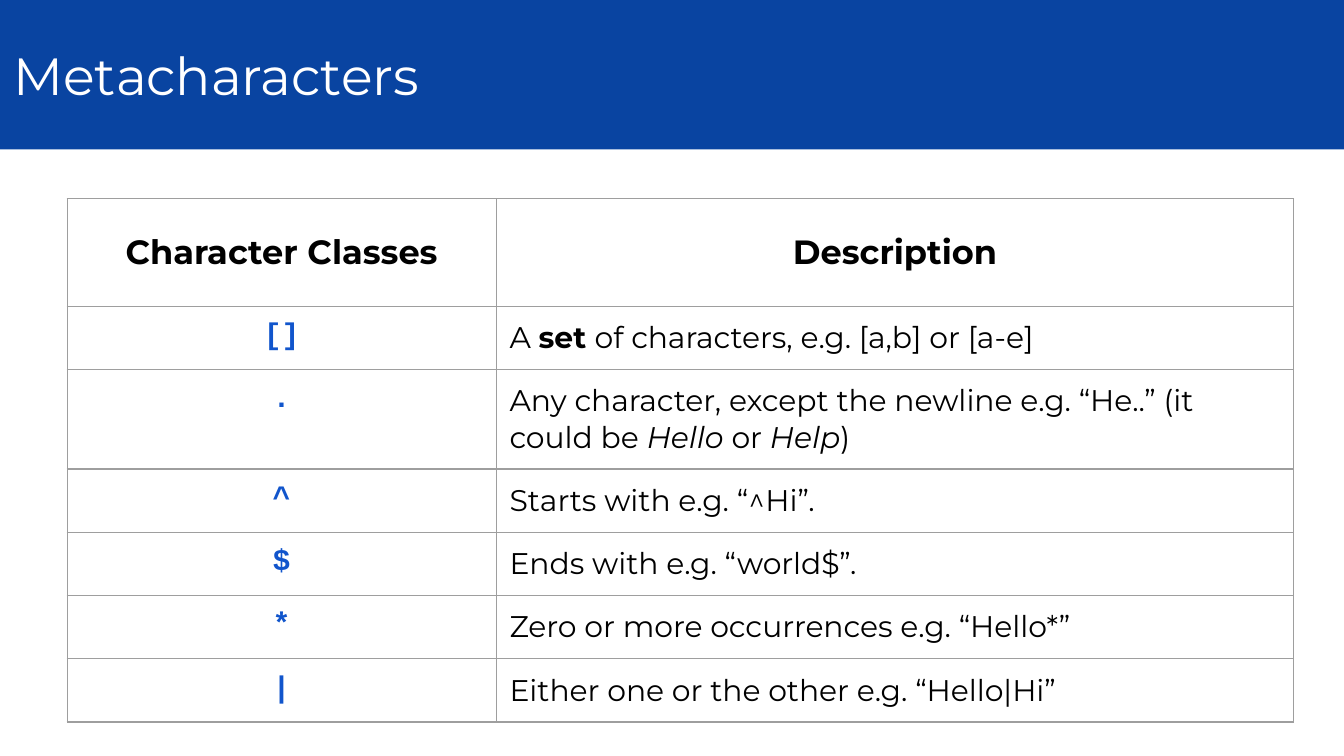
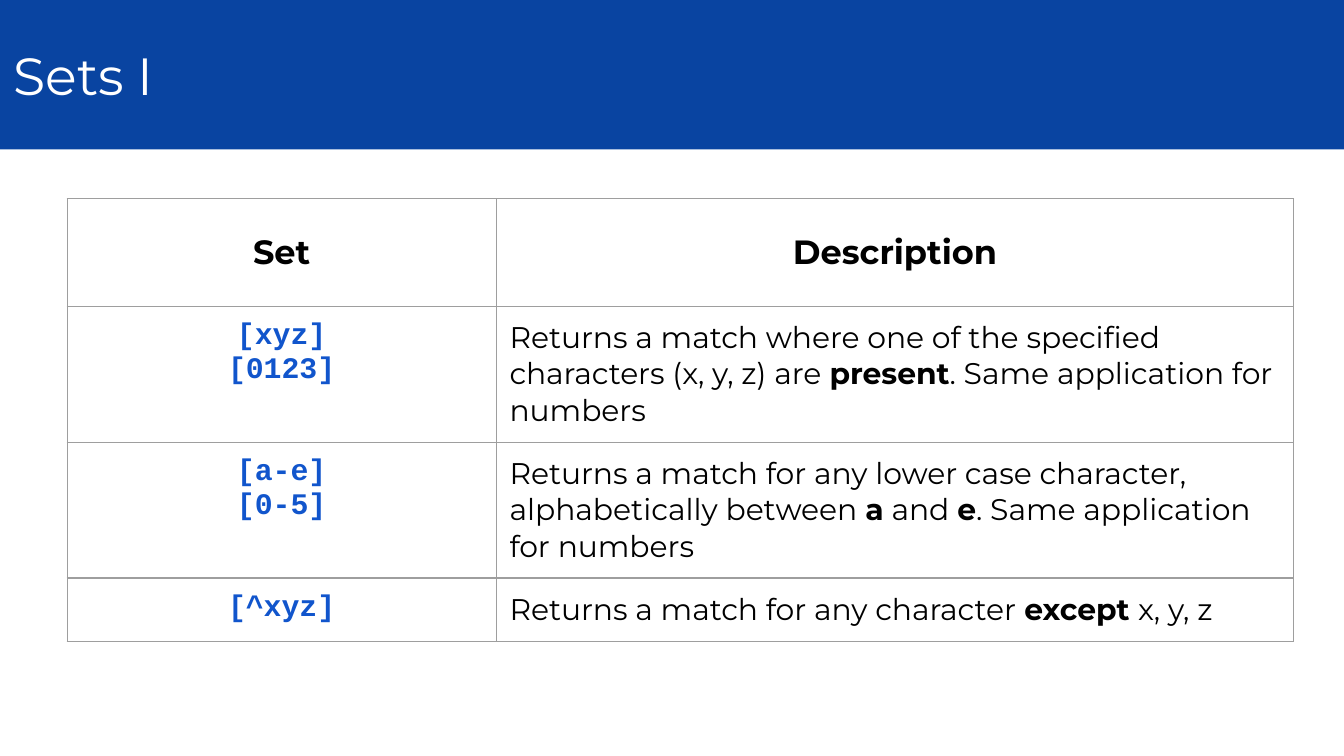
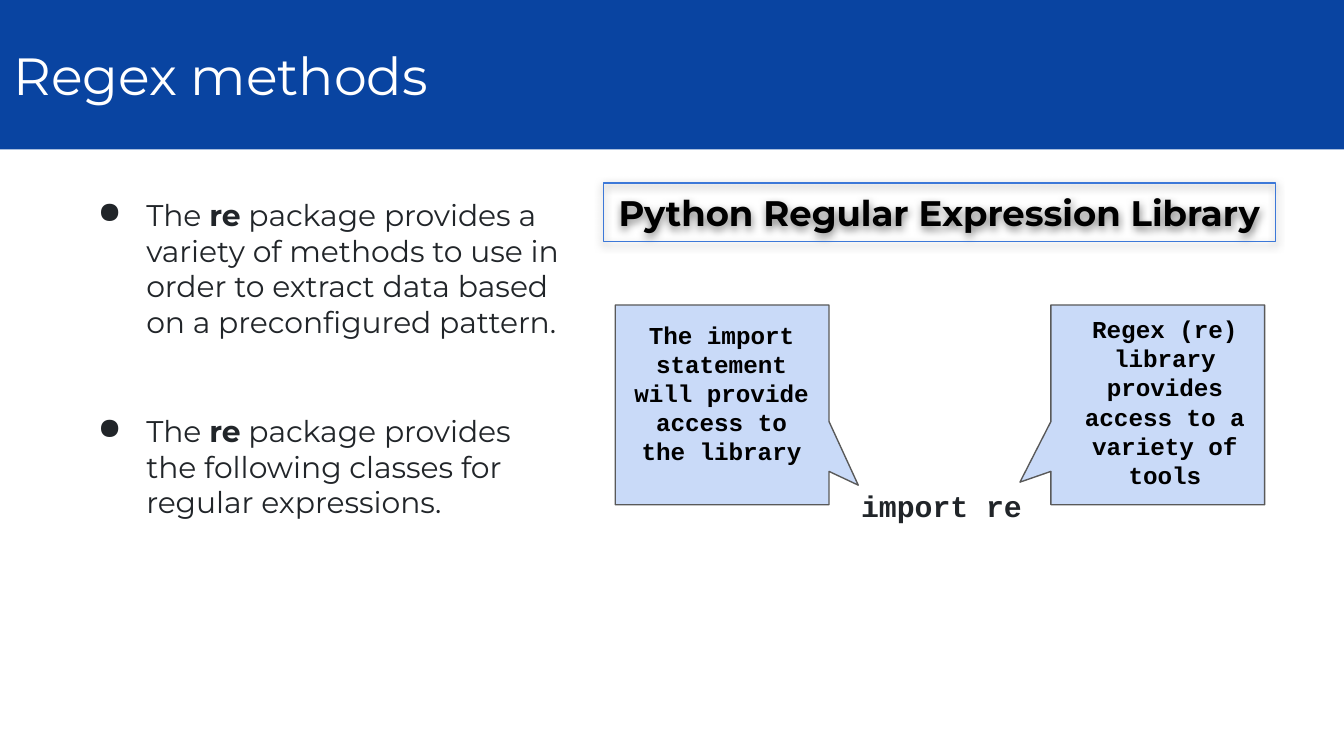
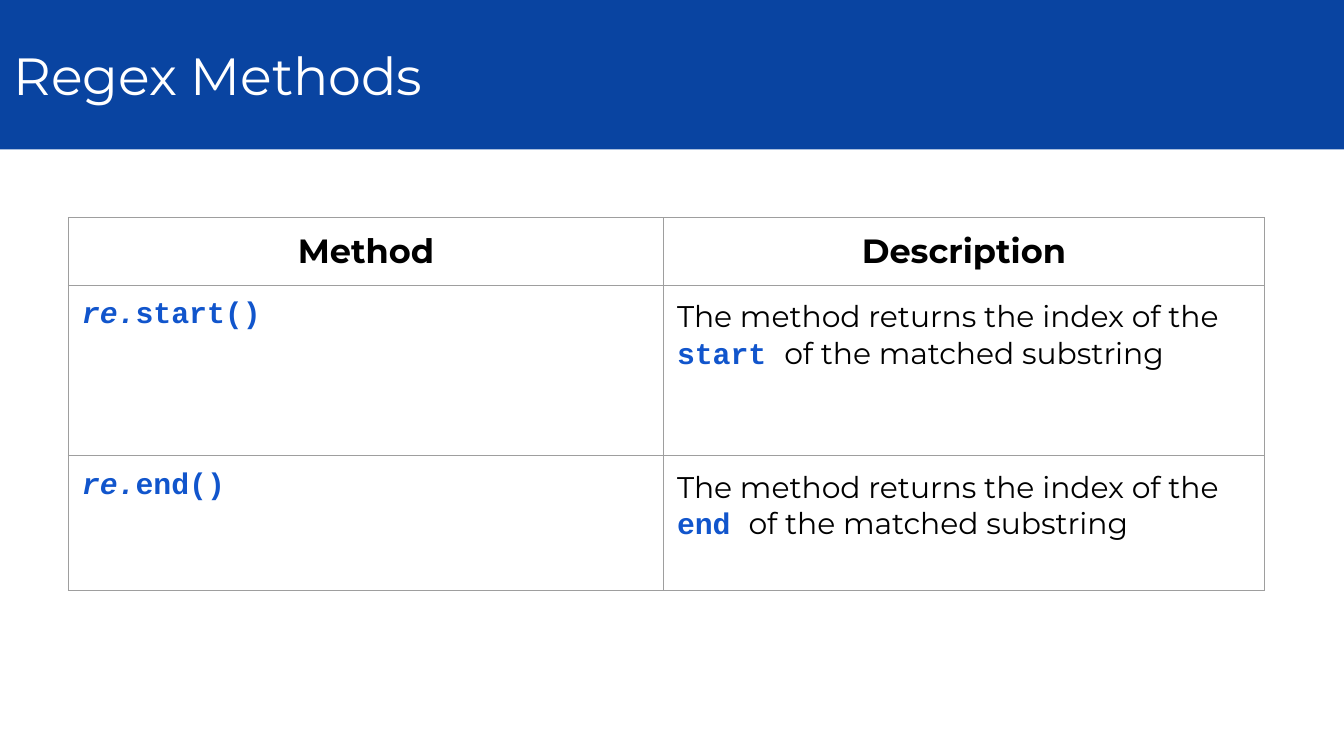
from dataclasses import dataclass

from lxml.etree import SubElement
from pptx import Presentation
from pptx.dml.color import RGBColor
from pptx.enum.shapes import MSO_SHAPE
from pptx.enum.text import MSO_ANCHOR, MSO_AUTO_SIZE, PP_ALIGN
from pptx.oxml.ns import qn
from pptx.util import Pt


@dataclass(frozen=True)
class Theme:
    band: str = "0944A1"
    white: str = "FFFFFF"
    black: str = "000000"
    ink: str = "212529"
    code: str = "1155CC"
    grid: str = "9E9E9E"
    bubble: str = "C9DAF8"
    edge: str = "595959"
    frame: str = "3C78D8"
    sans: str = "Montserrat"
    mono: str = "Courier New"
    title: int = 28
    banner: int = 19
    head: int = 18
    body: int = 16
    note: int = 13
    pad: float = 7.2
    line: float = 0.75


T = Theme()
WIDE, HIGH, BAND = 720, 405, 80
BOLD, ITALIC, CODE = "bold", "italic", "code"

# A rich text is a list of plain strings and (string, style) pairs.
META = [
    ("[]", ["A ", ("set ", BOLD), "of characters, e.g. [a,b] or [a-e]"]),
    (".", ["Any character, except the newline e.g. “He..” (it could be ",
           ("Hello ", ITALIC), "or ", ("Help", ITALIC), ")"]),
    ("^", ["Starts with e.g. “^Hi”."]),
    ("$", ["Ends with e.g. “world$”."]),
    ("*", ["Zero or more occurrences e.g. “Hello*”"]),
    ("|", ["Either one or the other e.g. “Hello|Hi”"]),
]
SETS = [
    ("[xyz]\n[0123]",
     ["Returns a match where one of the specified characters (x, y, z) are ",
      ("present", BOLD), ". Same application for numbers"]),
    ("[a-e]\n[0-5]",
     ["Returns a match for any lower case character, alphabetically between ",
      ("a", BOLD), " and ", ("e", BOLD), ". Same application for numbers"]),
    ("[^xyz]",
     ["Returns a match for any character ", ("except ", BOLD), "x, y, z"]),
]
CALLS = [
    ([("re.", ITALIC), f"{name}()"],
     ["The method returns the index of the ", (f"{name} ", CODE),
      "of the matched substring"])
    for name in ("start", "end")
]
TABLES = {
    "meta": dict(heads=("Character Classes", "Description"), body=META,
                 at=(36, 106.5), cols=(229.8, 427.4),
                 rows=(57.6, 33.8, 36.7, 33.8, 33.8, 33.8, 33.8)),
    "sets": dict(heads=("Set", "Description"), body=SETS,
                 at=(36, 106.5), cols=(229.8, 427.4),
                 rows=(57.6, 33.8, 36.7, 33.8)),
    "calls": dict(heads=("Method", "Description"), body=CALLS,
                  at=(36.7, 116.6), cols=(318.8, 321.8),
                  rows=(36, 91.2, 72), align=PP_ALIGN.LEFT),
}
POINTS = [
    ["The ", ("re", BOLD), " package provides a variety of methods to use in "
     "order to extract data based on a preconfigured pattern."],
    ["The ", ("re", BOLD),
     " package provides the following classes for regular expressions."],
]
# Left edge of the bubble, tail tip, box of the words, words
NOTES = [
    (563, (-0.645, 0.387), (564, 161.2, 120, 109.4),
     "Regex (re) library provides access to a variety of tools"),
    (329.6, (0.637, 0.402), (331, 164.3, 111, 93.6),
     "The import statement will provide access to the library"),
]


def rgb(tone):
    return RGBColor.from_string(tone)


def style(font, size=None, name=None, tone=None, bold=None):
    if size:
        font.size = Pt(size)
    if name:
        font.name = name
    if tone:
        font.color.rgb = rgb(tone)
    if bold is not None:
        font.bold = bold


def write(para, rich, size, name=T.sans, tone=T.black, bold=False,
          align=PP_ALIGN.LEFT):
    """Fill a paragraph with rich text over one base font."""
    para.alignment = align
    style(para.font, size, name, tone, bold)
    for part in [rich] if isinstance(rich, str) else rich:
        words, kind = (part, None) if isinstance(part, str) else part
        run = para.add_run()
        run.text = words
        if kind == BOLD:
            run.font.bold = True
        elif kind == ITALIC:
            run.font.italic = True
        elif kind == CODE:
            style(run.font, name=T.mono, tone=T.code, bold=True)


def inset(frame, anchor=MSO_ANCHOR.TOP):
    """Set even margins, wrapping and the vertical anchor."""
    frame.word_wrap = True
    frame.auto_size = MSO_AUTO_SIZE.NONE
    frame.vertical_anchor = anchor
    frame.margin_left = frame.margin_right = Pt(T.pad)
    frame.margin_top = frame.margin_bottom = Pt(T.pad)


def place(shape, left, top, width, height):
    shape.left, shape.top = Pt(left), Pt(top)
    shape.width, shape.height = Pt(width), Pt(height)


def text_box(slide, box, anchor=MSO_ANCHOR.TOP):
    frame = slide.shapes.add_textbox(*map(Pt, box)).text_frame
    inset(frame, anchor)
    return frame


def new_slide(deck, words):
    slide = deck.slides.add_slide(deck.slide_layouts[5])
    title = slide.shapes.title
    place(title, 0, 0, WIDE, BAND)
    title.fill.solid()
    title.fill.fore_color.rgb = rgb(T.band)
    inset(title.text_frame, MSO_ANCHOR.MIDDLE)
    write(title.text_frame.paragraphs[0], words, T.title, tone=T.white)
    return slide


def paint(parent, tone):
    fill = SubElement(parent, qn("a:solidFill"))
    return SubElement(fill, qn("a:srgbClr"), val=tone)


def dress(cell, anchor):
    """Give a cell its margins, grid lines and empty fill."""
    cell.margin_left = cell.margin_right = Pt(T.pad)
    cell.margin_top = cell.margin_bottom = Pt(T.pad)
    cell.vertical_anchor = anchor
    props = cell._tc.get_or_add_tcPr()
    for side in ("lnL", "lnR", "lnT", "lnB"):
        paint(SubElement(props, qn(f"a:{side}"), w=str(Pt(T.line))), T.grid)
    cell.fill.background()


def add_grid(slide, heads, body, at, cols, rows, align=PP_ALIGN.CENTER):
    table = slide.shapes.add_table(
        len(rows), len(cols), *map(Pt, (*at, sum(cols), sum(rows)))).table
    table.first_row = table.horz_banding = False
    for col, width in zip(table.columns, cols):
        col.width = Pt(width)
    for row, height in zip(table.rows, rows):
        row.height = Pt(height)
    for cell, words in zip(table.rows[0].cells, heads):
        dress(cell, MSO_ANCHOR.MIDDLE)
        write(cell.text_frame.paragraphs[0], words, T.head, bold=True,
              align=PP_ALIGN.CENTER)
    for row, (term, rich) in zip(list(table.rows)[1:], body):
        left, right = row.cells
        dress(left, MSO_ANCHOR.TOP)
        dress(right, MSO_ANCHOR.TOP)
        lines = term.split("\n") if isinstance(term, str) else [term]
        for i, line in enumerate(lines):
            frame = left.text_frame
            para = frame.add_paragraph() if i else frame.paragraphs[0]
            write(para, line, T.body, T.mono, T.code, True, align)
        write(right.text_frame.paragraphs[0], rich, T.body)


def add_points(slide):
    frame = text_box(slide, (35.3, 98, 272, 209))
    for i, rich in enumerate(POINTS):
        para = frame.add_paragraph() if i else frame.paragraphs[0]
        props = para._p.get_or_add_pPr()
        props.set("marL", str(Pt(36)))
        props.set("indent", str(Pt(-25.9)))
        tint = SubElement(props, qn("a:buClr"))
        SubElement(tint, qn("a:srgbClr"), val=T.ink)
        SubElement(props, qn("a:buChar"), char="●")
        if i:
            para.space_before = Pt(39)
        write(para, rich, T.body, tone=T.ink)


def add_bubble(slide, left, tip):
    shape = slide.shapes.add_shape(MSO_SHAPE.ROUNDED_RECTANGULAR_CALLOUT,
                                   *map(Pt, (left, 163.4, 114.5, 107)))
    for i, value in enumerate((*tip, 0)):
        shape.adjustments[i] = value
    shape.shadow.inherit = False
    shape.fill.solid()
    shape.fill.fore_color.rgb = rgb(T.bubble)
    shape.line.color.rgb = rgb(T.edge)
    shape.line.width = Pt(T.line)


def add_banner(slide):
    shape = slide.shapes.add_shape(MSO_SHAPE.RECTANGLE,
                                   *map(Pt, (323.2, 98, 360, 31.4)))
    shape.fill.background()
    shape.line.color.rgb = rgb(T.frame)
    shape.line.width = Pt(T.line)
    effects = SubElement(shape._element.spPr, qn("a:effectLst"))
    shade = SubElement(effects, qn("a:outerShdw"), blurRad=str(Pt(4.5)),
                       dist=str(Pt(1.5)), dir="5400000", algn="bl",
                       rotWithShape="0")
    tint = SubElement(shade, qn("a:srgbClr"), val=T.black)
    SubElement(tint, qn("a:alpha"), val="50000")
    inset(shape.text_frame, MSO_ANCHOR.MIDDLE)
    write(shape.text_frame.paragraphs[0], "Python Regular Expression Library",
          T.banner, bold=True, align=PP_ALIGN.CENTER)


def add_import(slide):
    frame = text_box(slide, (369.4, 255, 234, 31.7), MSO_ANCHOR.MIDDLE)
    para = frame.paragraphs[0]
    para._p.get_or_add_pPr().set("marL", str(Pt(36)))
    write(para, "import re", T.body, T.mono, T.ink, True, PP_ALIGN.CENTER)


def main():
    deck = Presentation()
    deck.slide_width, deck.slide_height = Pt(WIDE), Pt(HIGH)

    add_grid(new_slide(deck, "Metacharacters"), **TABLES["meta"])
    add_grid(new_slide(deck, "Sets I"), **TABLES["sets"])

    slide = new_slide(deck, "Regex methods")
    add_points(slide)
    for left, tip, _, _ in NOTES:
        add_bubble(slide, left, tip)
    add_banner(slide)
    add_import(slide)
    for _, _, box, words in NOTES:
        write(text_box(slide, box).paragraphs[0], words, T.note, T.mono,
              bold=True, align=PP_ALIGN.CENTER)

    add_grid(new_slide(deck, "Regex Methods"), **TABLES["calls"])
    deck.save("out.pptx")


if __name__ == "__main__":
    main()
